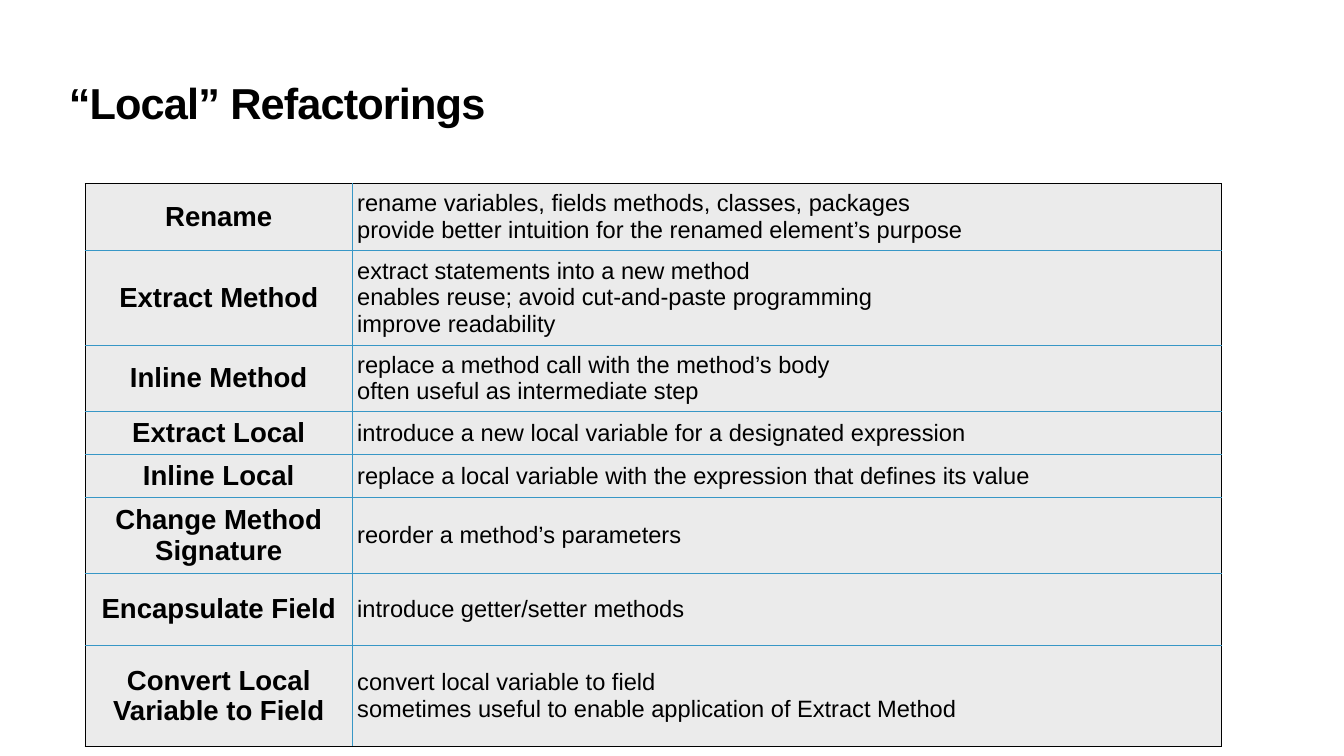
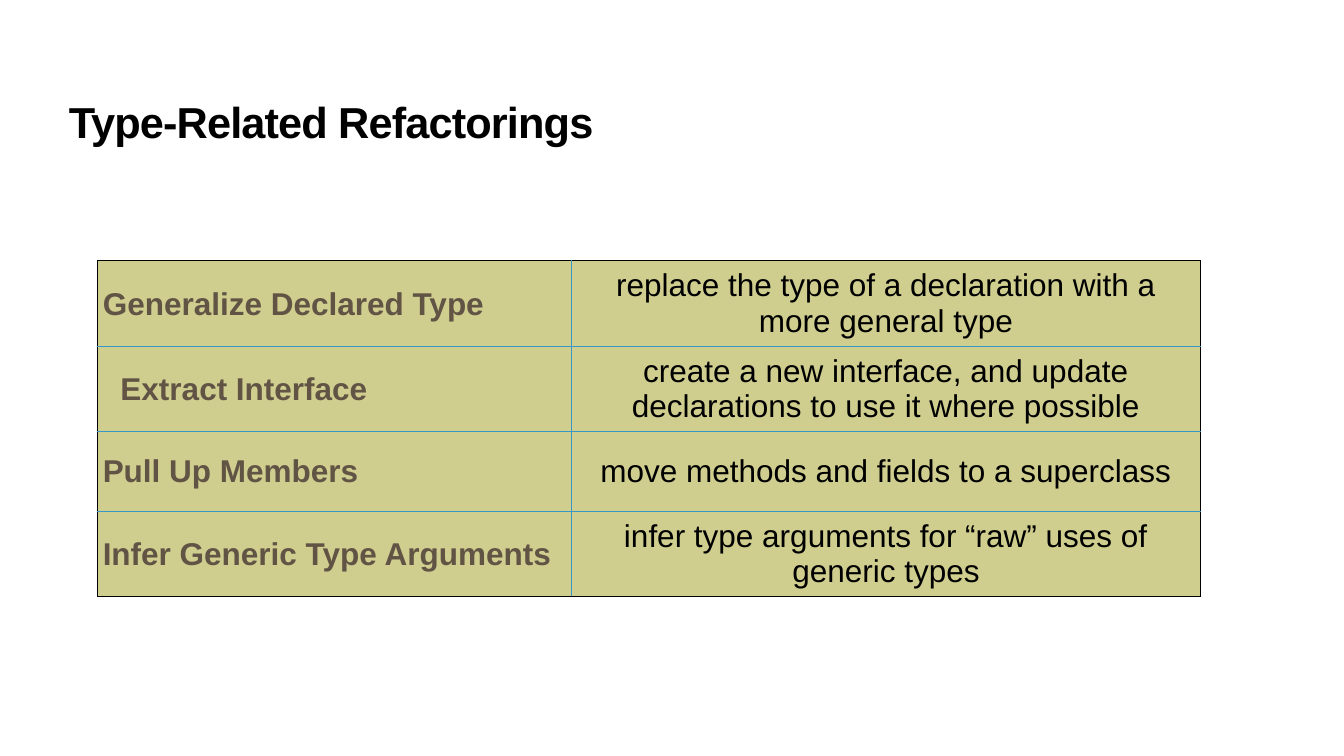
from lxml import etree
from pptx import Presentation
from pptx.dml.color import RGBColor
from pptx.enum.text import MSO_ANCHOR, PP_ALIGN
from pptx.oxml.ns import qn
from pptx.util import Inches, Pt

LEFT, CENTER = PP_ALIGN.LEFT, PP_ALIGN.CENTER
TOP, MIDDLE = MSO_ANCHOR.TOP, MSO_ANCHOR.MIDDLE

BLACK = RGBColor(0x00, 0x00, 0x00)
BLUE = RGBColor(0x37, 0x97, 0xC6)
GRAY = RGBColor(0xEB, 0xEB, 0xEB)
OLIVE = RGBColor(0x92, 0x90, 0x00)
BROWN = RGBColor(0x61, 0x54, 0x45)

FONT = "Arial"
TITLE_FONT = {"name": FONT, "size": Pt(44), "bold": True}
TITLE_PARA = {"alignment": LEFT, "line_spacing": 0.8}
MARGINS = ("margin_left", "margin_right", "margin_top", "margin_bottom")

LOCAL_STYLE = {
    "fill": GRAY, "alpha": None,
    "columns": [
        ({"name": FONT, "size": Pt(28), "bold": True}, BLACK, {"alignment": CENTER}),
        ({"name": FONT, "size": Pt(24), "bold": False}, BLACK, {"alignment": LEFT}),
    ],
}
TYPE_STYLE = {
    "fill": OLIVE, "alpha": 44,
    "columns": [
        ({"name": FONT, "size": Pt(32), "bold": True}, BROWN,
         {"alignment": LEFT, "line_spacing": 1.04, "space_before": Pt(4)}),
        ({"name": FONT, "size": Pt(32), "bold": False}, BLACK, {"alignment": CENTER}),
    ],
}

LOCAL_ROWS = [
    ("Rename", "rename variables, fields methods, classes, packages\v"
               "provide better intuition for the renamed element’s purpose"),
    ("Extract Method", "extract statements into a new method\v"
                       "enables reuse; avoid cut-and-paste programming\v"
                       "improve readability"),
    ("Inline Method", "replace a method call with the method’s body\v"
                      "often useful as intermediate step"),
    ("Extract Local", "introduce a new local variable for a designated expression"),
    ("Inline Local", "replace a local variable with the expression that defines its value"),
    ("Change Method Signature", "reorder a method’s parameters"),
    ("Encapsulate Field", "introduce getter/setter methods"),
    ("Convert Local Variable to Field",
     "convert local variable to field\v"
     "sometimes useful to enable application of Extract Method"),
]
LOCAL_HEIGHTS = [0.89, 1.34, 0.94, 0.57, 0.57, 0.97, 1.01, 1.43]

TYPE_ROWS = [
    ("Generalize Declared Type", "replace the type of a declaration with a more general type"),
    ("Extract Interface",
     "create a new interface, and update declarations to use it where possible"),
    ("Pull Up Members", "move methods and fields to a superclass"),
    ("Infer Generic Type Arguments", "infer type arguments for “raw” uses of generic types"),
]
TYPE_HEIGHTS = [1.12] * len(TYPE_ROWS)


def set_all(target, values):
    """Set every attribute in a dict of format values."""
    for name, value in values.items():
        setattr(target, name, value)


def write(frame, text, font, color, para_format):
    """Put one formatted paragraph into a text frame."""
    frame.text = text
    para = frame.paragraphs[0]
    set_all(para, para_format)
    for span in para.runs:
        set_all(span.font, font)
        span.font.color.rgb = color
    return para


def add_title(page, text, top):
    """Add the slide title, its box starting at the given height."""
    box = page.shapes.add_textbox(Inches(0.94), Inches(top), Inches(17.09), Inches(0.84))
    frame = box.text_frame
    set_all(frame, {"word_wrap": True, "vertical_anchor": TOP})
    set_all(frame, dict.fromkeys(MARGINS, Inches(0.03)))
    para = write(frame, text, TITLE_FONT, BLACK, TITLE_PARA)
    for span in para.runs:
        span.font._element.set("spc", "-90")


def set_borders(cell, colors):
    """Draw one-point borders, given as left, right, top and bottom colours."""
    properties = cell._tc.get_or_add_tcPr()
    for index, (side, color) in enumerate(zip("LRTB", colors)):
        line = etree.Element(qn(f"a:ln{side}"), w=str(Pt(1)))
        fill = etree.SubElement(line, qn("a:solidFill"))
        etree.SubElement(fill, qn("a:srgbClr"), val=str(color))
        properties.insert(index, line)


def fill_cell(cell, color, alpha):
    """Fill a cell, with an opacity in percent if one is given."""
    cell.fill.solid()
    cell.fill.fore_color.rgb = color
    if alpha is not None:
        tone = cell._tc.tcPr.find(".//" + qn("a:srgbClr"))
        etree.SubElement(tone, qn("a:alpha"), val=str(alpha * 1000))


def add_grid(page, left, top, widths, heights, rows, style):
    """Add a table with a black frame and blue inner lines; return it."""
    table = page.shapes.add_table(
        len(rows), len(widths), Inches(left), Inches(top),
        Inches(sum(widths)), Inches(sum(heights))).table
    set_all(table, {"first_row": False, "horz_banding": False})
    for column, width in zip(table.columns, widths):
        column.width = Inches(width)
    for row, height in zip(table.rows, heights):
        row.height = Inches(height)

    last_row, last_column = len(rows) - 1, len(widths) - 1
    for r, texts in enumerate(rows):
        for c, (text, column_style) in enumerate(zip(texts, style["columns"])):
            cell = table.cell(r, c)
            set_all(cell, dict.fromkeys(MARGINS, Inches(0.07)))
            cell.vertical_anchor = MIDDLE
            write(cell.text_frame, text, *column_style)
            fill_cell(cell, style["fill"], style["alpha"])
            on_edge = (c == 0, c == last_column, r == 0, r == last_row)
            set_borders(cell, [BLACK if edge else BLUE for edge in on_edge])
    return table


def local_slide(page):
    """Build the slide on local refactorings."""
    add_title(page, "“Local” Refactorings", 1.19)
    add_grid(page, 1.2, 2.59, [3.77, 12.26], LOCAL_HEIGHTS, LOCAL_ROWS, LOCAL_STYLE)


def type_slide(page):
    """Build the slide on type-related refactorings."""
    add_title(page, "Type-Related Refactorings", 1.46)
    table = add_grid(page, 1.38, 3.68, [6.68, 8.88], TYPE_HEIGHTS, TYPE_ROWS, TYPE_STYLE)
    interface_para = table.cell(1, 0).text_frame.paragraphs[0]
    interface_para._p.get_or_add_pPr().set("indent", str(Inches(0.25)))


deck = Presentation()
set_all(deck, {"slide_width": Inches(18.96), "slide_height": Inches(10.67)})
blank = deck.slide_layouts[6]
for build in (local_slide, type_slide):
    build(deck.slides.add_slide(blank))
deck.save("out.pptx")
